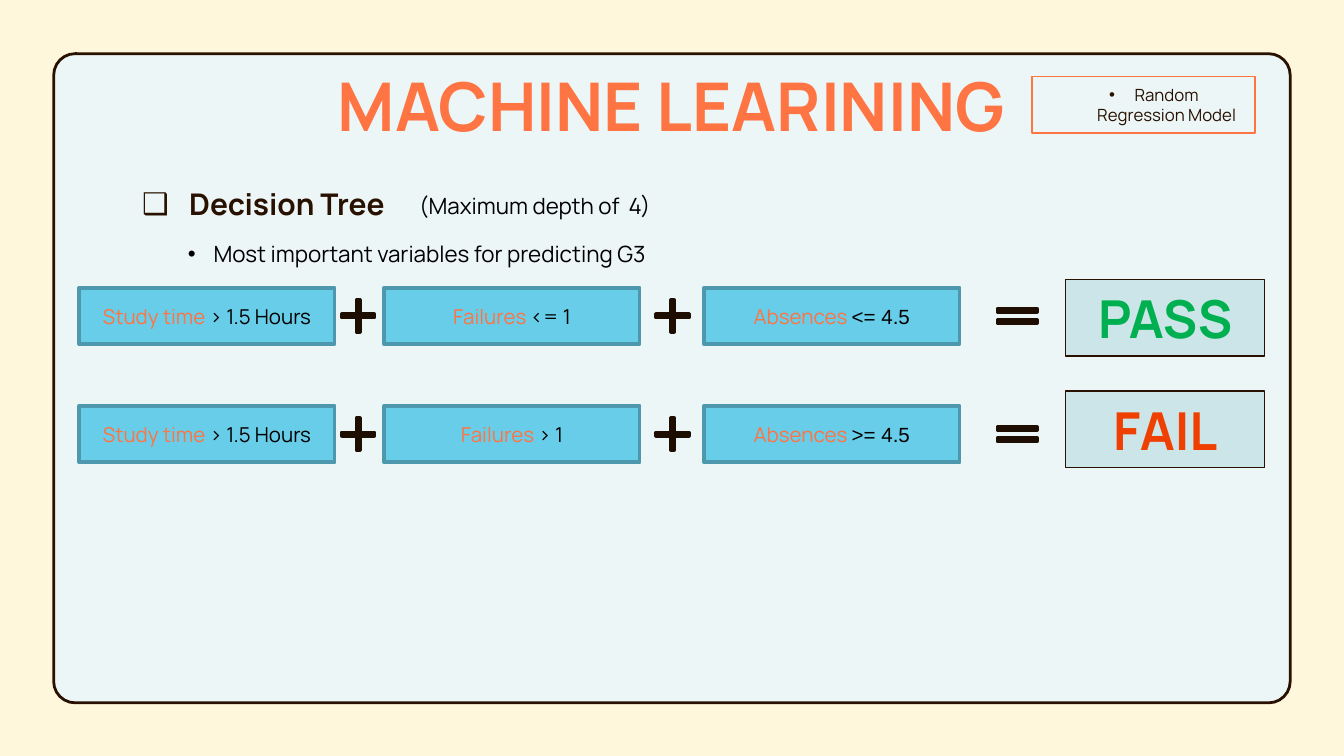
from pptx import Presentation
from pptx.dml.color import RGBColor
from pptx.enum.shapes import MSO_SHAPE
from pptx.enum.text import MSO_ANCHOR, PP_ALIGN
from pptx.oxml.ns import qn
from pptx.util import Inches, Pt
from lxml.etree import SubElement

CREAM = RGBColor(0xFF, 0xF7, 0xDC)
PALE = RGBColor(0xED, 0xF6, 0xF7)
BROWN = RGBColor(0x28, 0x11, 0x01)
DARK_BROWN = RGBColor(0x1E, 0x0D, 0x01)
ORANGE = RGBColor(0xFE, 0x74, 0x43)
BLUE = RGBColor(0x68, 0xCD, 0xE9)
TEAL = RGBColor(0x4D, 0x98, 0xAC)
MIST = RGBColor(0xCB, 0xE5, 0xE8)
GREEN = RGBColor(0x00, 0xB0, 0x50)
RED = RGBColor(0xEF, 0x40, 0x01)
BLACK = RGBColor(0, 0, 0)

FONT = "Manrope"
CONDITION_W, CONDITION_H = 1.9, 0.42
CONDITION_LEFTS = (0, 2.27, 4.65)
PLUS_LEFTS = (1.91, 4.25)


def add_panel(slide, kind, box, fill, line, width, adjustments=()):
    sp = slide.shapes.add_shape(kind, *map(Inches, box))
    sp.shadow.inherit = False
    for i, value in enumerate(adjustments):
        sp.adjustments[i] = value
    if fill is None:
        sp.fill.background()
    else:
        sp.fill.solid()
        sp.fill.fore_color.rgb = fill
    sp.line.color.rgb = line
    sp.line.width = Pt(width)
    return sp


def write(sp, runs, size, align=PP_ALIGN.LEFT, bold=False, spacing=None,
          anchor=MSO_ANCHOR.MIDDLE, inset=None):
    """Fill the shape with one paragraph of (text, colour, font) runs."""
    tf = sp.text_frame
    tf.word_wrap = True
    tf.vertical_anchor = anchor
    if inset is not None:
        tf.margin_left = tf.margin_right = Inches(inset)
        tf.margin_top = tf.margin_bottom = Inches(inset)
    p = tf.paragraphs[0]
    p.alignment = align
    if spacing:
        p.line_spacing = spacing
    for text, color, font in runs:
        r = p.add_run()
        r.text = text
        r.font.name = font
        r.font.size = Pt(size)
        r.font.bold = bold
        r.font.color.rgb = color
    return p


def add_bullet(p, char, color, left, hanging):
    pPr = p._p.get_or_add_pPr()
    pPr.set("marL", str(Inches(left)))
    pPr.set("indent", str(-Inches(hanging)))
    clr = SubElement(pPr, qn("a:buClr"))
    SubElement(clr, qn("a:srgbClr")).set("val", str(color))
    SubElement(pPr, qn("a:buFont")).set("typeface", "Arial")
    SubElement(pPr, qn("a:buChar")).set("char", char)


def add_text(slide, box, text, color, size, **style):
    sp = slide.shapes.add_textbox(*map(Inches, box))
    return write(sp, [(text, color, FONT)], size, **style)


def add_header(slide, left, top):
    add_text(slide, (left, top, 8.67, 0.96), "MACHINE LEARINING", ORANGE, 36,
             align=PP_ALIGN.CENTER, bold=True, inset=0.1)
    tag = add_panel(slide, MSO_SHAPE.RECTANGLE,
                    (left + 7.02, top + 0.27, 1.66, 0.42), None, ORANGE, 0.75)
    p = write(tag, [("Random Regression Model", BROWN, FONT)], 9,
              align=PP_ALIGN.CENTER, inset=0.1)
    add_bullet(p, "•", BROWN, 0.34, 0.19)


def add_intro(slide, left, top):
    p = add_text(slide, (left, top, 4.67, 0.42), "Decision Tree", BROWN, 16,
                 bold=True, spacing=1.5, inset=0.1)
    add_bullet(p, "❑", BROWN, 0.5, 0.35)
    add_text(slide, (left + 2.21, top + 0.05, 2.37, 0.38),
             "(Maximum depth of  4)", BLACK, 12, spacing=1.5)
    p = add_text(slide, (left + 0.49, top + 0.4, 4.09, 0.38),
                 "Most important variables for predicting G3", BLACK, 12,
                 spacing=1.5, anchor=MSO_ANCHOR.TOP)
    add_bullet(p, "•", BLACK, 0.19, 0.19)


def add_rule(slide, left, top, conditions, result, color, result_top):
    """Draw one row: conditions joined by plus signs, then equals a result."""
    for x, (name, test, font) in zip(CONDITION_LEFTS, conditions):
        sp = add_panel(slide, MSO_SHAPE.RECTANGLE,
                       (left + x, top, CONDITION_W, CONDITION_H), BLUE, TEAL, 2)
        write(sp, [(name + " ", ORANGE, FONT), (test, BLACK, font)], 11,
              align=PP_ALIGN.CENTER)
    for x in PLUS_LEFTS:
        add_panel(slide, MSO_SHAPE.MATH_PLUS, (left + x, top + 0.05, 0.33, 0.32),
                  BROWN, DARK_BROWN, 2, (0.077,))
    add_panel(slide, MSO_SHAPE.MATH_EQUAL, (left + 6.78, top - 0.05, 0.4, 0.52),
              BROWN, DARK_BROWN, 2, (0.044, 0.118))
    sp = add_panel(slide, MSO_SHAPE.RECTANGLE,
                   (left + 7.34, result_top, 1.48, 0.57), MIST, BROWN, 0.75)
    write(sp, [(result, color, FONT)], 28, align=PP_ALIGN.CENTER, bold=True)


def main():
    prs = Presentation()
    prs.slide_width = Inches(10)
    prs.slide_height = Inches(10) * 9 // 16
    slide = prs.slides.add_slide(prs.slide_layouts[6])
    slide.background.fill.solid()
    slide.background.fill.fore_color.rgb = CREAM
    add_panel(slide, MSO_SHAPE.ROUNDED_RECTANGLE, (0.4, 0.4, 9.2, 4.83),
              PALE, BROWN, 1.5, (0.033,))
    add_header(slide, 0.66, 0.3)
    add_intro(slide, 0.81, 1.24)
    rules = (
        (2.14, "<= 1", "<= 4.5", "PASS", GREEN, 2.08),
        (3.02, "> 1", ">= 4.5", "FAIL", RED, 2.91),
    )
    for top, failures, absences, result, color, result_top in rules:
        conditions = (("Study time", "> 1.5 Hours", FONT),
                      ("Failures", failures, FONT),
                      ("Absences", absences, "Arial"))
        add_rule(slide, 0.59, top, conditions, result, color, result_top)
    prs.save("out.pptx")


if __name__ == "__main__":
    main()
